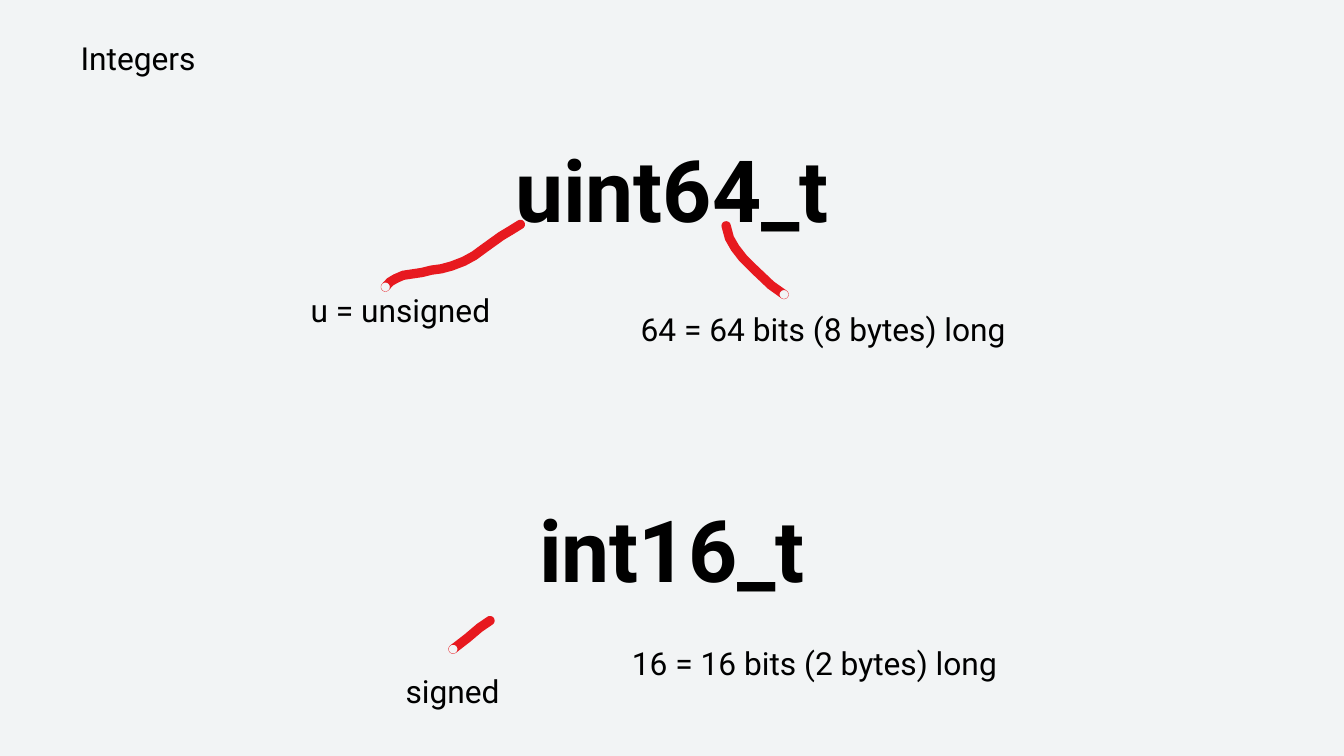
import math
from dataclasses import dataclass

import pptx
import pptx.dml.color
import pptx.enum.text
import pptx.util

Pt = pptx.util.Pt


@dataclass(frozen=True)
class Theme:
    font: str = "Roboto"
    background: str = "F2F4F5"
    ink: str = "000000"
    marker: str = "E7191F"
    type_size: float = 92
    label_size: float = 34
    line_spacing: float = 1.4
    marker_radius: float = 5
    tip_radius: float = 4.7


THEME = Theme()

TYPE_LEFT, TYPE_WIDTH, TYPE_HEIGHT = 531, 378, 123.12
LABEL_HEIGHT = 45.36

TYPES = [("uint64_t", 128.16), ("int16_t", 513.36)]

LABELS = [
    ("Integers", 81, 35.28, 133.92),
    ("u = unsigned", 240, 305.28, 378),
    ("64 = 64 bits (8 bytes) long", 671.76, 325.44, 420.48),
    ("signed", 431.28, 713.52, 107.28),
    ("16 = 16 bits (2 bytes) long", 666, 683.28, 413.28),
]

MARKER_STROKES = [
    [(413, 307.5), (418, 302), (424, 298.5), (432, 295), (452, 292),
     (462, 289.5), (473, 288), (484, 285), (497, 280), (508, 274),
     (521, 264.5), (537, 253), (547, 247), (557.5, 240.5)],
    [(840, 315.5), (826, 305.5), (807, 287.5), (796, 276.5),
     (787.5, 265.5), (781.5, 255), (778, 242)],
    [(485.5, 695.5), (501, 683.5), (514, 672.5), (525, 665)],
]


def color(value):
    return pptx.dml.color.RGBColor.from_string(value)


def add_text(page, text, left, top, width, height, size, bold=False):
    box = page.shapes.add_textbox(Pt(left), Pt(top), Pt(width), Pt(height))
    frame = box.text_frame
    frame.text = text
    frame.word_wrap = True
    frame.auto_size = pptx.enum.text.MSO_AUTO_SIZE.SHAPE_TO_FIT_TEXT
    frame.margin_left = frame.margin_right = 0
    frame.margin_top = frame.margin_bottom = 0
    para = frame.paragraphs[0]
    para.alignment = pptx.enum.text.PP_ALIGN.CENTER
    para.line_spacing = Pt(size * THEME.line_spacing)
    span = para.runs[0]
    span.font.name = THEME.font
    span.font.size = Pt(size)
    span.font.bold = bold
    span.font.color.rgb = color(THEME.ink)


def heading(points, index):
    before = points[max(index - 1, 0)]
    after = points[min(index + 1, len(points) - 1)]
    return math.atan2(after[1] - before[1], after[0] - before[0])


def around(point, angle, radius=THEME.marker_radius):
    return (point[0] + radius * math.cos(angle),
            point[1] + radius * math.sin(angle))


def stroke_side(points):
    side = [around(point, heading(points, index) - math.pi / 2)
            for index, point in enumerate(points)]
    end_angle = heading(points, len(points) - 1)
    cap = [around(points[-1], end_angle + math.radians(turn))
           for turn in range(-75, 90, 15)]
    return side + cap


def in_points(corners):
    return [(Pt(x), Pt(y)) for x, y in corners]


def add_marker_stroke(page, points):
    outline = in_points(stroke_side(points) + stroke_side(points[::-1]))
    tip_hole = in_points(around(points[0], math.radians(-turn), THEME.tip_radius)
                         for turn in range(0, 360, 15))
    builder = page.shapes.build_freeform(*outline[0])
    builder.add_line_segments(outline[1:], close=True)
    builder.move_to(*tip_hole[0])
    builder.add_line_segments(tip_hole[1:], close=True)
    stroke = builder.convert_to_shape()
    stroke.shadow.inherit = False
    stroke.fill.solid()
    stroke.fill.fore_color.rgb = color(THEME.marker)
    stroke.line.fill.background()


def main():
    deck = pptx.Presentation()
    deck.slide_width, deck.slide_height = Pt(1440), Pt(810)
    page = deck.slides.add_slide(deck.slide_layouts[6])
    page.background.fill.solid()
    page.background.fill.fore_color.rgb = color(THEME.background)

    for text, top in TYPES:
        add_text(page, text, TYPE_LEFT, top, TYPE_WIDTH, TYPE_HEIGHT,
                 THEME.type_size, bold=True)
    for points in MARKER_STROKES:
        add_marker_stroke(page, points)
    for text, left, top, width in LABELS:
        add_text(page, text, left, top, width, LABEL_HEIGHT, THEME.label_size)

    deck.save("out.pptx")


if __name__ == "__main__":
    main()
